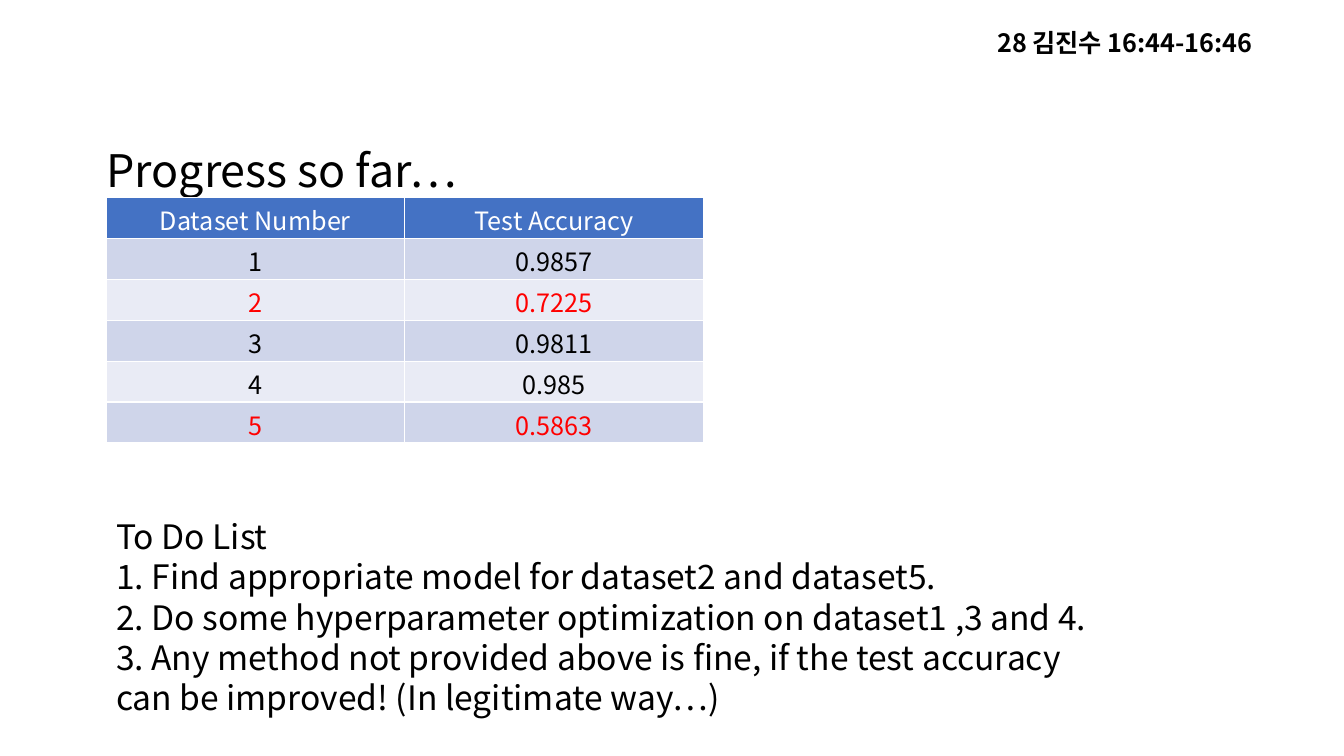
from dataclasses import dataclass

import lxml.etree
import pptx
import pptx.dml.color
import pptx.enum.text
import pptx.oxml.ns
import pptx.util

Cm = pptx.util.Cm
Pt = pptx.util.Pt
Align = pptx.enum.text.PP_ALIGN
Anchor = pptx.enum.text.MSO_ANCHOR
qn = pptx.oxml.ns.qn

FONT = "Noto Sans CJK KR"
COLOURS = {
    "text": "000000",
    "alert": "FF0000",
    "light": "FFFFFF",
    "header": "4472C4",
    "odd": "CFD5EA",
    "even": "E9EBF5",
}


@dataclass
class Result:
    dataset: str
    accuracy: str
    colour: str = "text"
    fill: str = "odd"


RESULTS = [
    Result("Dataset Number", "Test Accuracy", "light", "header"),
    Result("1", "0.9857"),
    Result("2", "0.7225", "alert", "even"),
    Result("3", "0.9811"),
    Result("4", "0.985", fill="even"),
    Result("5", "0.5863", "alert"),
]
TO_DO = [
    "To Do List",
    "1. Find appropriate model for dataset2 and dataset5.",
    "2. Do some hyperparameter optimization on dataset1 ,3 and 4.",
    "3. Any method not provided above is fine, if the test accuracy "
    "can be improved! (In legitimate way…)",
]


def rgb(name: str) -> pptx.dml.color.RGBColor:
    return pptx.dml.color.RGBColor.from_string(COLOURS[name])


def write(frame, text: str, *, size: float, colour: str = "text",
          bold: bool = False, align=Align.CENTER, spacing=None) -> None:
    """Fill a text frame with one paragraph per line of text."""
    frame.word_wrap = True
    frame.text = text
    for para in frame.paragraphs:
        para.alignment = align
        para.space_before = Pt(0)
        para.line_spacing = spacing or Pt(size * 1.2)
        for span in para.runs:
            span.font.name = FONT
            span.font.size = Pt(size)
            span.font.bold = bold
            span.font.color.rgb = rgb(colour)
            east_asian = lxml.etree.Element(qn("a:ea"), typeface=FONT)
            span.font._element.find(qn("a:latin")).addnext(east_asian)


def place(box, left: float, top: float, width: float, height: float) -> None:
    box.left, box.top = Cm(left), Cm(top)
    box.width, box.height = Cm(width), Cm(height)


def add_borders(cell) -> None:
    properties = cell._tc.get_or_add_tcPr()
    for index, side in enumerate(("lnL", "lnR", "lnT", "lnB")):
        line = lxml.etree.Element(qn(f"a:{side}"), w=str(Pt(1)))
        fill = lxml.etree.SubElement(line, qn("a:solidFill"))
        lxml.etree.SubElement(fill, qn("a:srgbClr"), val=COLOURS["light"])
        properties.insert(index, line)


def add_results(page, results: list[Result]) -> None:
    row_height = Cm(1.03)
    table = page.shapes.add_table(
        len(results), 2, Cm(2.67), Cm(4.98), Cm(15.06),
        row_height * len(results)).table
    table.horz_banding = False
    for row, result in enumerate(results):
        table.rows[row].height = row_height
        for column, text in enumerate((result.dataset, result.accuracy)):
            cell = table.cell(row, column)
            cell.margin_top, cell.margin_bottom = Cm(0.26), Cm(0)
            cell.fill.solid()
            cell.fill.fore_color.rgb = rgb(result.fill)
            add_borders(cell)
            write(cell.text_frame, text, size=18, colour=result.colour)


def main() -> None:
    deck = pptx.Presentation()
    deck.slide_width, deck.slide_height = Cm(33.87), Cm(19.05)
    page = deck.slides.add_slide(deck.slide_layouts[0])

    header = page.shapes.title
    place(header, 23.44, 0.18, 9.96, 1.4)
    header.text_frame.vertical_anchor = Anchor.BOTTOM
    write(header.text_frame, "28 김진수 16:44-16:46 ", size=18, bold=True,
          spacing=0.9)

    heading = page.shapes.add_textbox(Cm(0), Cm(3.35), Cm(14.2), Cm(1.63))
    heading.text_frame.margin_top = Cm(0.25)
    write(heading.text_frame, "Progress so far…", size=32)

    add_results(page, RESULTS)

    to_do = page.placeholders[1]
    place(to_do, 2.67, 12.8, 25.76, 5.38)
    to_do.text_frame.vertical_anchor = Anchor.TOP
    to_do.text_frame.margin_top = Cm(0.2)
    write(to_do.text_frame, "\n".join(TO_DO), size=24, align=Align.LEFT)

    deck.save("out.pptx")


if __name__ == "__main__":
    main()
